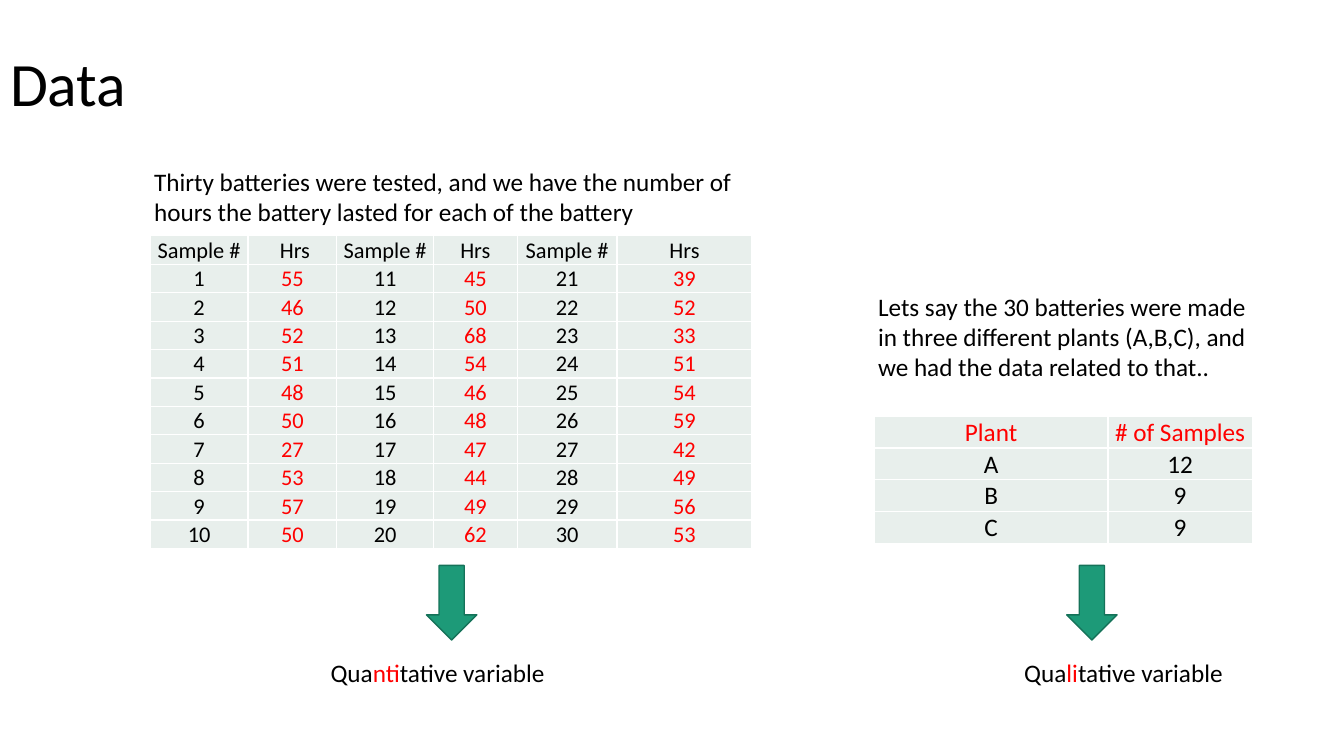
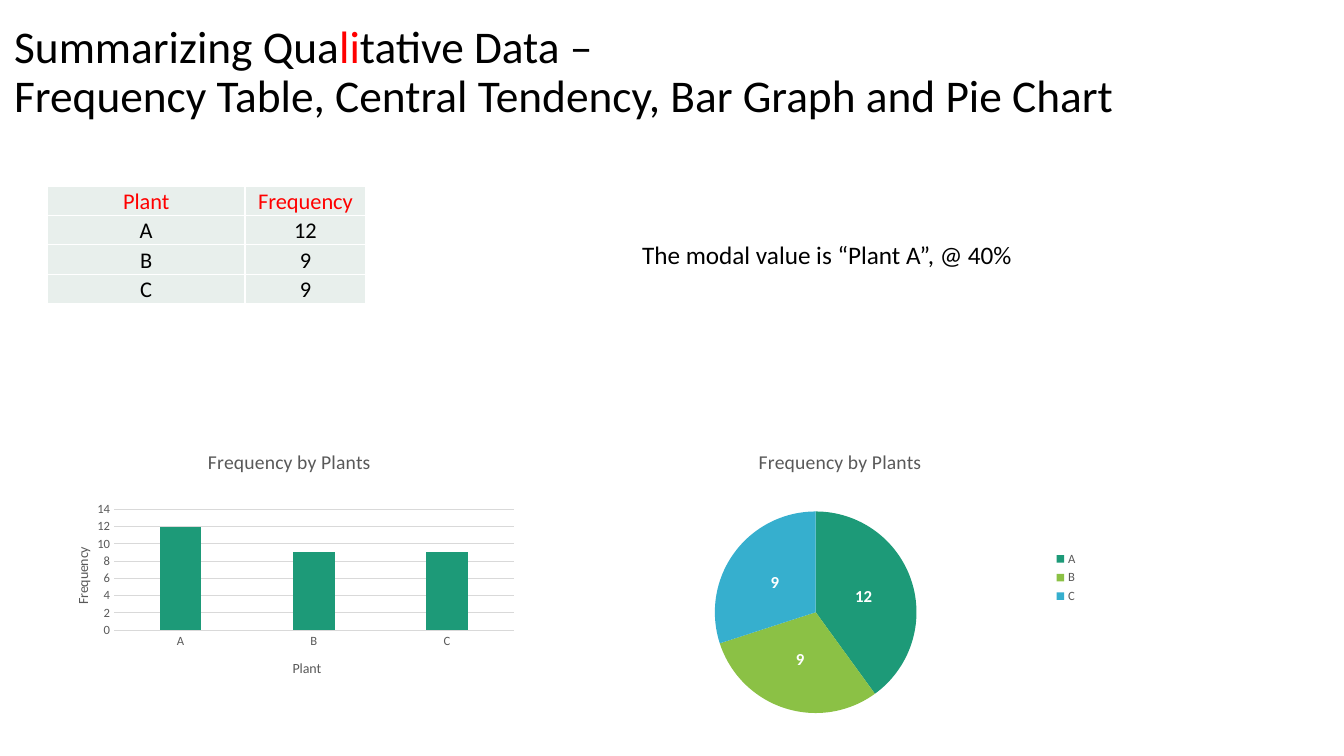
from dataclasses import dataclass

from lxml.etree import SubElement
from pptx import Presentation
from pptx.chart.chart import Chart
from pptx.chart.data import CategoryChartData
from pptx.dml.color import RGBColor
from pptx.enum.chart import XL_CHART_TYPE as CT, XL_LABEL_POSITION as LP
from pptx.enum.chart import XL_LEGEND_POSITION as LEGEND, XL_TICK_MARK as TICK
from pptx.enum.shapes import MSO_SHAPE
from pptx.enum.text import MSO_ANCHOR as ANCHOR, MSO_AUTO_SIZE as FIT, PP_ALIGN as AL
from pptx.oxml.ns import qn
from pptx.presentation import Presentation as Deck
from pptx.slide import Slide
from pptx.table import _Cell as Cell
from pptx.text.text import Font, TextFrame
from pptx.util import Inches, Pt

FONT = "Calibri"
BLACK = RGBColor(0x00, 0x00, 0x00)
WHITE = RGBColor(0xFF, 0xFF, 0xFF)
RED = RGBColor(0xFF, 0x00, 0x00)
GREEN = RGBColor(0x1D, 0x9A, 0x78)
DARK_GREEN = RGBColor(0x15, 0x72, 0x59)
LIME = RGBColor(0x8B, 0xC1, 0x45)
BLUE = RGBColor(0x36, 0xAF, 0xCE)
PALE = RGBColor(0xE8, 0xEF, 0xEC)
GRAY = RGBColor(0x59, 0x59, 0x59)
RULE = RGBColor(0xD9, 0xD9, 0xD9)

PLANTS = {"A": 12, "B": 9, "C": 9}
HOURS = [
    55, 46, 52, 51, 48, 50, 27, 53, 57, 50,
    45, 50, 68, 54, 46, 48, 47, 44, 49, 62,
    39, 52, 33, 51, 54, 59, 42, 49, 56, 53,
]


@dataclass
class Note:
    text: str
    left: float
    top: float
    width: float
    height: float = 0.4


@dataclass
class Grid:
    rows: list[list[str]]
    left: float
    top: float
    cols: list[float]
    row_height: float
    size: float


@dataclass
class Graph:
    kind: CT
    left: float
    top: float
    width: float
    height: float
    title_at: tuple[float, float]
    plot_at: tuple[float, float, float, float]


def style(font: Font, size: float, color: RGBColor, bold: bool = False) -> None:
    font.name = FONT
    font.size = Pt(size)
    font.bold = bold
    font.color.rgb = color


def write(tf: TextFrame, text: str, size: float = 18, color: RGBColor = BLACK,
          align: AL = AL.LEFT, spacing: float = 1.0) -> None:
    """Write text, with the parts between asterisks in red."""
    p = tf.paragraphs[0]
    p.alignment = align
    p.line_spacing = spacing
    for i, part in enumerate(text.split("*")):
        for j, line in enumerate(part.split("\n")):
            if j:
                p.add_line_break()
            if line:
                r = p.add_run()
                r.text = line
                style(r.font, size, RED if i % 2 else color)


def add_slide(prs: Deck, title: str, left: float, top: float, size: float) -> Slide:
    s = prs.slides.add_slide(prs.slide_layouts[5])
    sp = s.shapes.title
    sp.left, sp.top = Inches(left), Inches(top)
    sp.width, sp.height = Inches(11.5), Inches(1.45)
    tf = sp.text_frame
    tf.auto_size = FIT.NONE
    tf.vertical_anchor = ANCHOR.MIDDLE
    write(tf, title, size=size, spacing=0.9)
    return s


def add_note(s: Slide, note: Note) -> None:
    sp = s.shapes.add_textbox(Inches(note.left), Inches(note.top),
                              Inches(note.width), Inches(note.height))
    tf = sp.text_frame
    tf.word_wrap = True
    tf.auto_size = FIT.SHAPE_TO_FIT_TEXT
    write(tf, note.text)


def add_arrow(s: Slide, left: float) -> None:
    sp = s.shapes.add_shape(MSO_SHAPE.DOWN_ARROW, Inches(left), Inches(5.61),
                            Inches(0.5), Inches(0.74))
    sp.shadow.inherit = False
    sp.fill.solid()
    sp.fill.fore_color.rgb = GREEN
    sp.line.color.rgb = DARK_GREEN
    sp.line.width = Pt(1)


def format_cell(cell: Cell) -> None:
    cell.margin_left = cell.margin_right = cell.margin_top = Inches(0.01)
    cell.margin_bottom = 0
    cell.vertical_anchor = ANCHOR.BOTTOM
    cell.fill.solid()
    cell.fill.fore_color.rgb = PALE
    props = cell._tc.get_or_add_tcPr()
    for i, side in enumerate(("lnL", "lnR", "lnT", "lnB")):
        ln = SubElement(props, qn(f"a:{side}"), w=str(Pt(1)))
        fill = SubElement(ln, qn("a:solidFill"))
        SubElement(fill, qn("a:srgbClr"), val=str(WHITE))
        props.insert(i, ln)


def add_grid(s: Slide, grid: Grid) -> None:
    count = len(grid.rows)
    table = s.shapes.add_table(
        count, len(grid.cols), Inches(grid.left), Inches(grid.top),
        Inches(sum(grid.cols)), Inches(grid.row_height * count)).table
    table.first_row = table.horz_banding = False
    for col, width in zip(table.columns, grid.cols):
        col.width = Inches(width)
    for row, texts in zip(table.rows, grid.rows):
        row.height = Inches(grid.row_height)
        for cell, text in zip(row.cells, texts):
            format_cell(cell)
            write(cell.text_frame, text, size=grid.size, align=AL.CENTER)


def place(element, spots: tuple[float, ...], inner: bool = False) -> None:
    layout = element.find(qn("c:layout"))
    if layout is None:
        layout = SubElement(element, qn("c:layout"))
        element.insert(0 if inner else 1, layout)
    manual = SubElement(layout, qn("c:manualLayout"))
    if inner:
        SubElement(manual, qn("c:layoutTarget"), val="inner")
    for name in ("xMode", "yMode"):
        SubElement(manual, qn(f"c:{name}"), val="edge")
    for name, spot in zip("xywh", spots):
        SubElement(manual, qn(f"c:{name}"), val=str(spot))


def add_graph(s: Slide, graph: Graph) -> Chart:
    data = CategoryChartData()
    data.categories = list(PLANTS)
    data.add_series("Series 1", list(PLANTS.values()))
    chart = s.shapes.add_chart(
        graph.kind, Inches(graph.left), Inches(graph.top),
        Inches(graph.width), Inches(graph.height), data).chart
    style(chart.font, 10, BLACK)
    chart.has_legend = False
    chart.has_title = True
    write(chart.chart_title.text_frame, "Frequency by Plants", size=14, color=GRAY)
    place(chart.chart_title.element, graph.title_at)
    place(chart.element.find(f".//{qn('c:plotArea')}"), graph.plot_at, inner=True)
    return chart


def format_columns(chart: Chart) -> None:
    plot = chart.plots[0]
    plot.gap_width, plot.overlap = 219, -27
    plot.vary_by_categories = False
    fill = plot.series[0].format.fill
    fill.solid()
    fill.fore_color.rgb = GREEN
    cat, val = chart.category_axis, chart.value_axis
    for axis, title, spot in ((cat, "Plant", (0.51, 0.86)),
                              (val, "Frequency", (0.05, 0.44))):
        axis.major_tick_mark = axis.minor_tick_mark = TICK.NONE
        style(axis.tick_labels.font, 9, GRAY)
        write(axis.axis_title.text_frame, title, size=10, color=GRAY)
        place(axis.axis_title.element, spot)
    val.minimum_scale, val.maximum_scale, val.major_unit = 0, 14, 2
    val.format.line.fill.background()
    for line in (cat.format.line, val.major_gridlines.format.line):
        line.color.rgb = RULE
        line.width = Pt(0.75)


def format_pie(chart: Chart) -> None:
    chart.has_legend = True
    chart.legend.position = LEGEND.RIGHT
    chart.legend.include_in_layout = False
    style(chart.legend.font, 9, GRAY)
    plot = chart.plots[0]
    plot.vary_by_categories = True
    for i, color in enumerate((GREEN, LIME, BLUE)):
        fill = plot.series[0].points[i].format.fill
        fill.solid()
        fill.fore_color.rgb = color
    labels = plot.series[0].data_labels
    labels.show_value = True
    labels.show_percentage = False
    labels.position = LP.CENTER
    style(labels.font, 12, WHITE, bold=True)


def hour_rows() -> list[list[str]]:
    rows = [["Sample #", " Hrs", "Sample #", "Hrs", "Sample #", "Hrs"]]
    for i in range(10):
        rows.append([text for n in range(i, len(HOURS), 10)
                     for text in (str(n + 1), f"*{HOURS[n]}*")])
    return rows


def plant_rows(heading: str) -> list[list[str]]:
    return [["*Plant*", f"*{heading}*"]] + [[k, str(v)] for k, v in PLANTS.items()]


def data_slide(prs: Deck) -> None:
    s = add_slide(prs, "Data", 0, 0.13, 44)
    add_grid(s, Grid(hour_rows(), 1.49, 2.34,
                     [0.97, 0.88, 0.96, 0.83, 0.99, 1.34], 0.28, 16))
    add_grid(s, Grid(plant_rows("# of Samples"), 8.67, 4.13, [2.32, 1.43], 0.31, 18))
    for left in (4.23, 10.58):
        add_arrow(s, left)
    for note in (
        Note("Qua*nti*tative variable", 3.18, 6.47, 3.48),
        Note("Qua*li*tative variable", 10.06, 6.47, 3.48),
        Note("Lets say the 30 batteries were made in three different plants "
             "(A,B,C), and we had the data related to that..", 8.61, 2.84, 3.95, 1.01),
        Note("Thirty batteries were tested, and we have the number of hours "
             "the battery lasted for each of the battery", 1.43, 1.6, 6.08, 0.71),
    ):
        add_note(s, note)


def summary_slide(prs: Deck) -> None:
    s = add_slide(prs, "Summarizing Qua*li*tative Data –\nFrequency Table, "
                  "Central Tendency, Bar Graph and Pie Chart", 0.04, 0, 32.4)
    add_grid(s, Grid(plant_rows("Frequency"), 0.47, 1.85, [1.96, 1.2], 0.29, 16))
    format_columns(add_graph(s, Graph(CT.COLUMN_CLUSTERED, 0.47, 4.23, 4.72, 2.66,
                                      (0.33, 0.07), (0.14, 0.31, 0.84, 0.45))))
    format_pie(add_graph(s, Graph(CT.PIE, 5.79, 4.23, 5, 3,
                                  (0.34, 0.06), (0.26, 0.28, 0.4, 0.67))))
    add_note(s, Note("The modal value is “Plant A”, @ 40%", 6.27, 2.33, 5.37))


def main() -> None:
    prs = Presentation()
    prs.slide_width, prs.slide_height = Inches(13.33), Inches(7.5)
    data_slide(prs)
    summary_slide(prs)
    prs.save("out.pptx")


if __name__ == "__main__":
    main()
